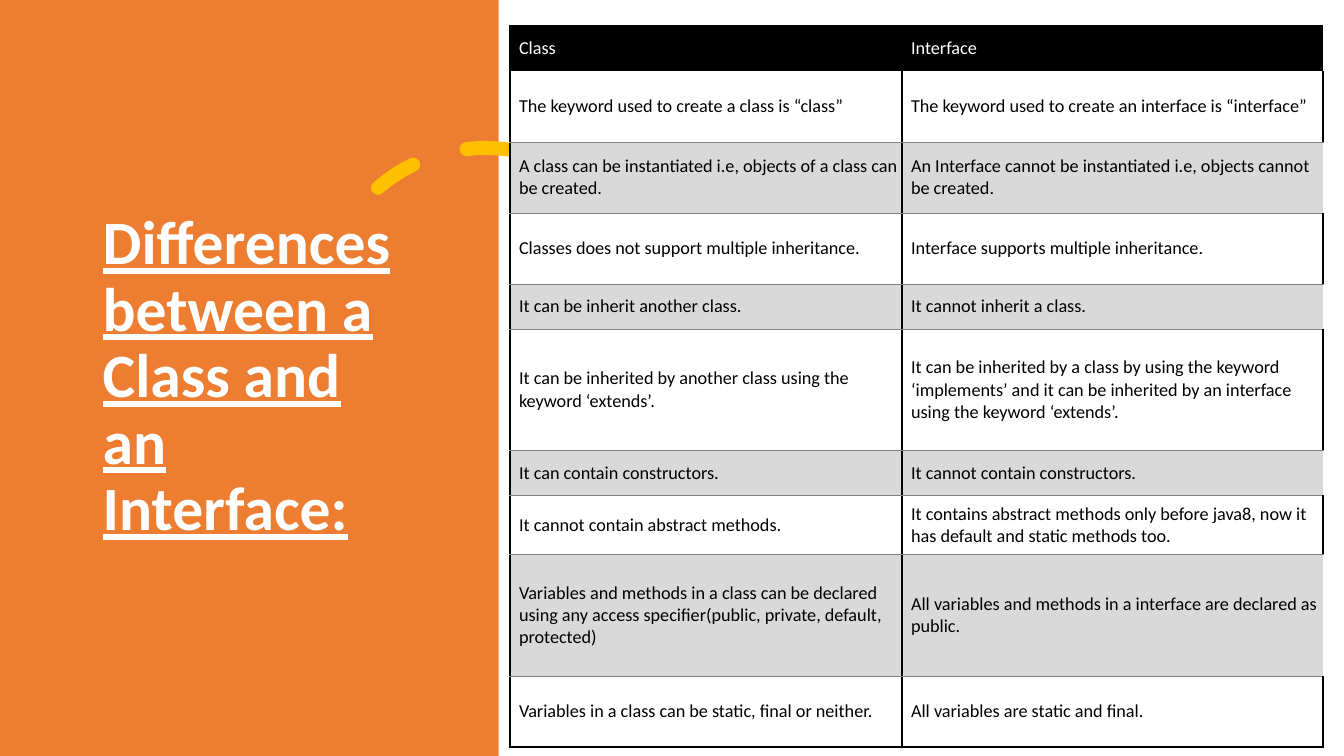
"""Build a slide comparing a class with an interface in a two-column table."""
import pptx
import pptx.util
import pptx.dml.color
import pptx.enum.dml
import pptx.enum.shapes
import pptx.enum.text
import pptx.oxml
import pptx.oxml.ns

Cm = pptx.util.Cm
Pt = pptx.util.Pt
MIDDLE = pptx.enum.text.MSO_ANCHOR.MIDDLE
COLORS = {"panel": "ED7D31", "arc": "FFC000", "white": "FFFFFF",
          "black": "000000", "band": "D9D9D9", "rule": "808080"}
ROWS = [
    (1.13, "Class", "Interface"),
    (1.79, "The keyword used to create a class is “class”",
     "The keyword used to create an interface is “interface”"),
    (1.79, "A class can be instantiated i.e, objects of a class can be created.",
     "An Interface cannot be instantiated i.e, objects cannot be created."),
    (1.79, "Classes does not support multiple inheritance.",
     "Interface supports multiple inheritance."),
    (1.13, "It can be inherit another class.", "It cannot inherit a class."),
    (3.07, "It can be inherited by another class using the keyword ‘extends’.",
     "It can be inherited by a class by using the keyword ‘implements’ and it can be "
     "inherited by an interface using the keyword ‘extends’."),
    (1.13, "It can contain constructors.", "It cannot contain constructors."),
    (1.48, "It cannot contain abstract methods.",
     "It contains abstract methods only before java8, now it has default and static "
     "methods too."),
    (3.07, "Variables and methods in a class can be declared using any access "
     "specifier(public, private, default, protected)",
     "All variables and methods in a interface are declared as public."),
    (1.79, "Variables in a class can be static, final or neither.",
     "All variables are static and final."),
]


def rgb(name):
    return pptx.dml.color.RGBColor.from_string(COLORS[name])


def write(tf, text, color, font):
    p = tf.paragraphs[0]
    r = p.add_run()
    r.text = text
    r.font.color.rgb = rgb(color)
    for key, value in font.items():
        setattr(r.font, key, value)
    return p


prs = pptx.Presentation()
prs.slide_width, prs.slide_height = Cm(33.87), Cm(19.05)
s = prs.slides.add_slide(prs.slide_layouts[6])
shapes = pptx.enum.shapes.MSO_SHAPE

panel = s.shapes.add_shape(shapes.RECTANGLE, 0, 0, Cm(12.57), prs.slide_height)
panel.shadow.inherit = False
panel.fill.solid()
panel.fill.fore_color.rgb = rgb("panel")
panel.line.fill.background()

arc = s.shapes.add_shape(shapes.ARC, Cm(8.08), Cm(3.73), Cm(8.31), Cm(8.31))
arc.shadow.inherit = False
arc.rotation = 345.8
arc.adjustments[0], arc.adjustments[1] = 146.13, 0
arc.fill.background()
arc.line.color.rgb = rgb("arc")
arc.line.width = Pt(10)
arc.line.dash_style = pptx.enum.dml.MSO_LINE.DASH
arc.line._ln.set("cap", "rnd")

title = s.shapes.add_textbox(Cm(2.34), Cm(1.78), Cm(8.2), Cm(15.47))
tf = title.text_frame
tf.word_wrap = True
tf.vertical_anchor = MIDDLE
p = write(tf, "Differences between a Class and an Interface:", "white",
          {"name": "Calibri", "size": Pt(44), "bold": True, "underline": True})
p.line_spacing = 0.9

table = s.shapes.add_table(len(ROWS), 2, Cm(12.85), Cm(0.66), Cm(20.5), Cm(18.17)).table
style = table._tbl.tblPr.find(pptx.oxml.ns.qn("a:tableStyleId"))
style.text = "{2D5ABB26-0587-4C30-8999-92F81FD0307C}"
for column, width in zip(table.columns, (9.88, 10.62)):
    column.width = Cm(width)

cell_format = {"margin_left": Cm(0.23), "margin_right": Cm(0.12),
               "margin_top": Cm(0.18), "margin_bottom": Cm(0.18),
               "vertical_anchor": MIDDLE}
outline, hairline = ("black", 1.5), ("rule", 0.5)
last = len(ROWS) - 1
for i, (height, *texts) in enumerate(ROWS):
    table.rows[i].height = Cm(height)
    header = i == 0
    banded = i % 2 == 0 and not header
    plain = i % 2 == 1
    for j, text in enumerate(texts):
        cell = table.cell(i, j)
        for key, value in cell_format.items():
            setattr(cell, key, value)
        borders = {
            "L": outline,
            "R": outline if j == 0 or plain else None,
            "T": outline if header else hairline if banded else None,
            "B": outline if i == last else hairline if plain else None,
        }
        tc_pr = cell._tc.get_or_add_tcPr()
        for side, border in borders.items():
            if border:
                color, width = border
                tc_pr.append(pptx.oxml.parse_xml(
                    f'<a:ln{side} {pptx.oxml.ns.nsdecls("a")} w="{Pt(width)}"><a:solidFill>'
                    f'<a:srgbClr val="{COLORS[color]}"/></a:solidFill></a:ln{side}>'))
        cell.fill.solid()
        cell.fill.fore_color.rgb = rgb("black" if header else "band" if banded else "white")
        write(cell.text_frame, text, "white" if header else "black",
              {"name": "Calibri", "size": Pt(13)})

prs.save("out.pptx")
